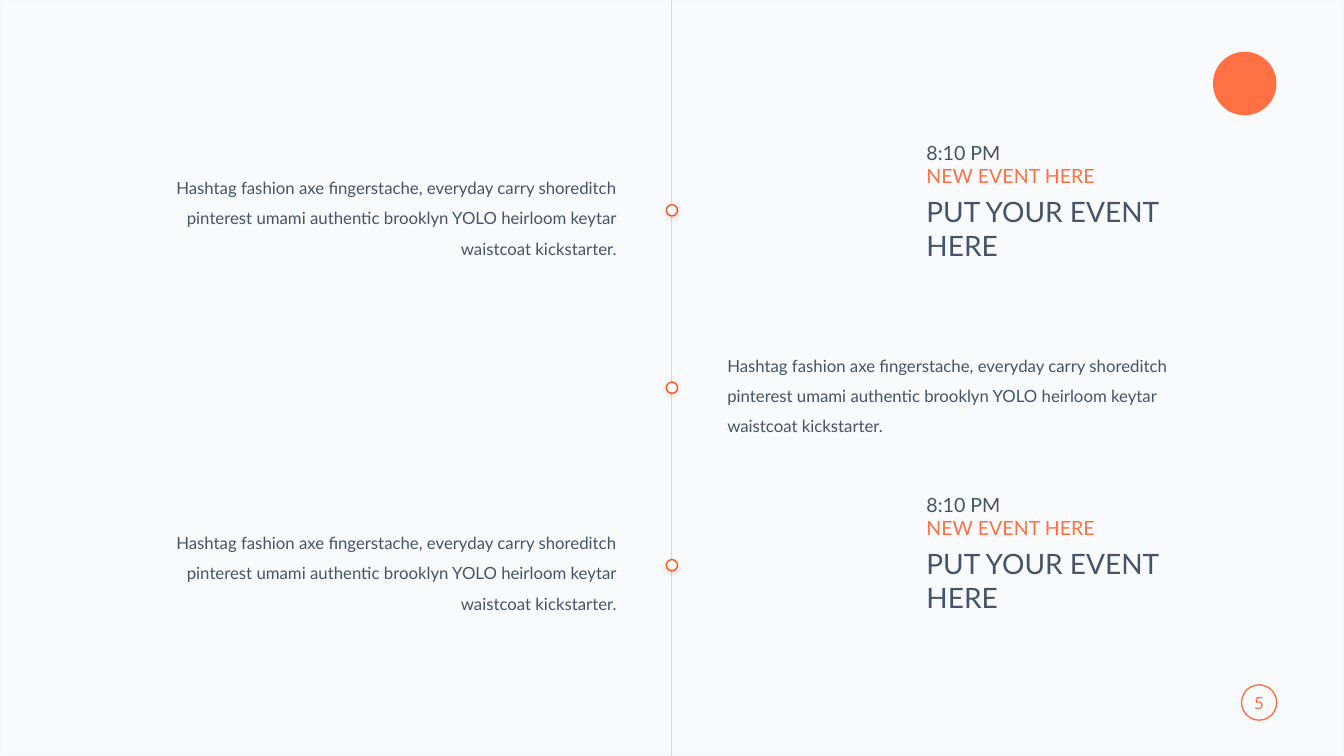
from dataclasses import dataclass
from lxml import etree
from pptx import Presentation
from pptx.dml.color import RGBColor as RGB
from pptx.enum.shapes import MSO_CONNECTOR as Link, MSO_SHAPE as Kind
from pptx.enum.text import MSO_ANCHOR as Anchor, PP_ALIGN as Align
from pptx.oxml import parse_xml
from pptx.oxml.ns import nsdecls, qn
from pptx.util import Pt


@dataclass
class Theme:
    font: str = "Lato"
    tint: RGB = RGB.from_string("7B8DB3")
    edge: RGB = RGB.from_string("EBEBEB")
    ink: RGB = RGB.from_string("44546A")
    accent: RGB = RGB.from_string("FF7043")
    ring: RGB = RGB.from_string("FF5722")
    rule: RGB = RGB.from_string("D9D9D9")
    white: RGB = RGB.from_string("FFFFFF")
    body: int = 12
    label: int = 14
    title: int = 20


theme = Theme()


def add_shape(kind, left, top, width, height, fill=None, line=None):
    shape = slide.shapes.add_shape(kind, Pt(left), Pt(top), Pt(width), Pt(height))
    shape.shadow.inherit = False
    if fill is None:
        shape.fill.background()
    else:
        shape.fill.solid()
        shape.fill.fore_color.rgb = fill
    if line is None:
        shape.line.fill.background()
    else:
        shape.line.color.rgb = line
        shape.line.width = Pt(1)
    return shape


def style(para, size, color, align=Align.LEFT):
    para.alignment = align
    for run in para.runs:
        run.font.name = theme.font
        run.font.size = Pt(size)
        run.font.color.rgb = color


deck = Presentation()
deck.slide_width, deck.slide_height = Pt(960), Pt(540)
slide = deck.slides.add_slide(deck.slide_layouts[6])

# Pale tint over the slide, with a faint edge
sheet = add_shape(Kind.RECTANGLE, 0, 0, 960, 540, theme.tint, theme.edge)
sheet.line.width = Pt(2)
tones = sheet._element.spPr.iter(qn("a:srgbClr"))
for tone, alpha in zip(tones, ("4000", "10000")):
    etree.SubElement(tone, qn("a:alpha")).set("val", alpha)

# Round mark in the top corner
add_shape(Kind.OVAL, 866.4, 37, 45.4, 45.4, fill=theme.accent)

# Page number in a ring
badge = add_shape(Kind.OVAL, 886.8, 489.2, 25.2, 25.2, line=theme.accent)
frame = badge.text_frame
frame.margin_left = frame.margin_right = frame.margin_top = frame.margin_bottom = 0
frame.vertical_anchor = Anchor.MIDDLE
frame.word_wrap = False
frame.text = "5"
style(frame.paragraphs[0], theme.body, theme.accent, Align.CENTER)

# Time line down the middle
axis = 480
rule = slide.shapes.add_connector(Link.STRAIGHT, Pt(axis), Pt(0), Pt(axis), Pt(540))
rule.line.color.rgb = theme.rule
rule.line.width = Pt(0.75)
etree.SubElement(rule._element.spPr, qn("a:effectLst"))

# Dots with a soft shadow, each with a note to one side
note = ("Hashtag fashion axe fingerstache, everyday carry shoreditch "
        "pinterest umami authentic brooklyn YOLO heirloom keytar "
        "waistcoat kickstarter.")
first, step, dot = 150.2, 126.75, 8
gap, width = 32.4, 332.6
sides = [Align.RIGHT, Align.LEFT, Align.RIGHT]
for row, side in enumerate(sides):
    mid = first + row * step
    mark = add_shape(Kind.OVAL, axis - dot / 2, mid - dot / 2, dot, dot,
                     theme.white, theme.ring)
    glow = mark._element.spPr.find(qn("a:effectLst"))
    glow.append(parse_xml(
        f'<a:outerShdw {nsdecls("a")} blurRad="{Pt(3)}" dist="{Pt(1)}" dir="5400000">'
        '<a:srgbClr val="000000"><a:alpha val="15000"/></a:srgbClr></a:outerShdw>'))
    left = axis - gap - width if side == Align.RIGHT else axis + gap
    box = slide.shapes.add_textbox(Pt(left), Pt(mid - 33.9), Pt(width), Pt(72.7))
    box.text_frame.word_wrap = True
    box.text_frame.text = note
    para = box.text_frame.paragraphs[0]
    para.line_spacing = 1.5
    style(para, theme.body, theme.ink, side)

# Event headings
event = [
    ("8:10 PM", theme.label, theme.ink),
    ("NEW EVENT HERE", theme.label, theme.accent),
    ("PUT YOUR EVENT", theme.title, theme.ink),
    ("HERE", theme.title, theme.ink),
]
for top in (96.9, 348.5):
    box = slide.shapes.add_textbox(Pt(654.7), Pt(top), Pt(280), Pt(94.3))
    frame = box.text_frame
    frame.word_wrap = True
    frame.text = "\n".join(text for text, size, color in event)
    for para, (text, size, color) in zip(frame.paragraphs, event):
        style(para, size, color)
    frame.paragraphs[2].space_before = Pt(4.8)

deck.save("out.pptx")
